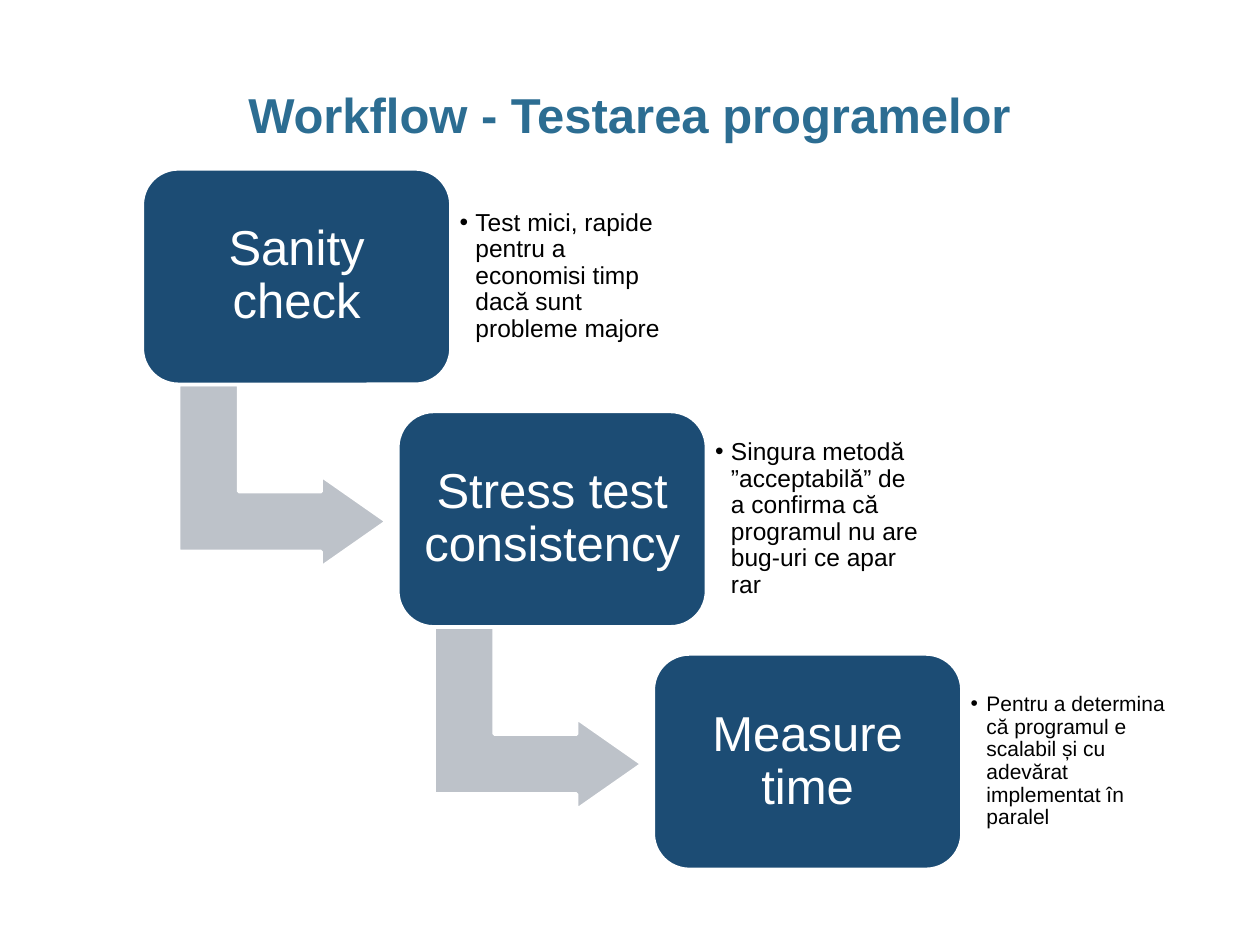
from lxml.etree import SubElement
from pptx import Presentation
from pptx.dml.color import RGBColor
from pptx.enum.shapes import MSO_SHAPE
from pptx.enum.text import MSO_ANCHOR, PP_ALIGN
from pptx.oxml.ns import qn
from pptx.util import Pt

TEAL = RGBColor(0x2C, 0x6D, 0x92)
NAVY = RGBColor(0x1C, 0x4C, 0x74)
GREY = RGBColor(0xBD, 0xC2, 0xC9)
WHITE = RGBColor(0xFF, 0xFF, 0xFF)
BLACK = RGBColor(0x00, 0x00, 0x00)

# Staircase geometry, in points
FIRST_LEFT, FIRST_TOP = 81.3, 96.5
STEP_X, STEP_Y = 146, 138.6
BOX_WIDTH, BOX_HEIGHT = 176.4, 123.1
ARROW_WIDTH, ARROW_HEIGHT = 104.4, 118.8
NOTE_WIDTH, NOTE_HEIGHT = 128.2, 99.4
NOTE_INDENT = 9

# Step name, explanation, explanation size
STEPS = [
    ("Sanity check",
     "Test mici, rapide pentru a economisi timp dacă sunt probleme majore", 14),
    ("Stress test consistency",
     "Singura metodă ”acceptabilă” de a confirma că programul nu are "
     "bug-uri ce apar rar", 14),
    ("Measure time",
     "Pentru a determina că programul e scalabil și cu adevărat "
     "implementat în paralel", 12),
]


def set_margins(frame, horizontal, vertical):
    frame.margin_left = frame.margin_right = Pt(horizontal)
    frame.margin_top = frame.margin_bottom = Pt(vertical)
    frame.word_wrap = True
    frame.vertical_anchor = MSO_ANCHOR.MIDDLE


def add_text(paragraph, text, size, color, spacing, bold=False):
    paragraph.line_spacing = spacing
    run = paragraph.add_run()
    run.text = text
    run.font.name = "Arial"
    run.font.size = Pt(size)
    run.font.bold = bold
    run.font.color.rgb = color


def add_title(slide, text):
    title = slide.shapes.title
    title.left, title.top = Pt(24.5), Pt(49)
    title.width, title.height = Pt(670.3), Pt(36)
    set_margins(title.text_frame, 0, 3.6)
    paragraph = title.text_frame.paragraphs[0]
    paragraph.alignment = PP_ALIGN.CENTER
    add_text(paragraph, text, 28, TEAL, 0.95, bold=True)


def add_block(slide, preset, left, top, width, height, fill, adjustments):
    block = slide.shapes.add_shape(preset, Pt(left), Pt(top), Pt(width), Pt(height))
    block.shadow.inherit = False
    block.fill.solid()
    block.fill.fore_color.rgb = fill
    block.line.color.rgb = WHITE
    block.line.width = Pt(2)
    for index, value in enumerate(adjustments):
        block.adjustments[index] = value
    return block


def add_step_box(slide, left, top, name):
    box = add_block(slide, MSO_SHAPE.ROUNDED_RECTANGLE, left, top,
                    BOX_WIDTH, BOX_HEIGHT, NAVY, [0.167])
    set_margins(box.text_frame, 8.4, 8.4)
    paragraph = box.text_frame.paragraphs[0]
    paragraph.alignment = PP_ALIGN.CENTER
    add_text(paragraph, name, 28, WHITE, 0.9)


def add_arrow(slide, box_left, box_top):
    # The frame is given before the quarter turn
    arrow = add_block(slide, MSO_SHAPE.BENT_UP_ARROW, box_left + 28, box_top + 116,
                      ARROW_WIDTH, ARROW_HEIGHT, GREY, [0.328, 0.25, 0.358])
    arrow.rotation = 90


def add_note(slide, box_left, box_top, text, size):
    note = slide.shapes.add_textbox(Pt(box_left + BOX_WIDTH), Pt(box_top + 11.7),
                                    Pt(NOTE_WIDTH), Pt(NOTE_HEIGHT))
    set_margins(note.text_frame, 5, 5)
    paragraph = note.text_frame.paragraphs[0]
    properties = paragraph._p.get_or_add_pPr()
    properties.set("marL", str(Pt(NOTE_INDENT)))
    properties.set("indent", str(-Pt(NOTE_INDENT)))
    SubElement(properties, qn("a:buFont")).set("typeface", "Arial")
    SubElement(properties, qn("a:buChar")).set("char", "•")
    paragraph.level = 1
    add_text(paragraph, text, size, BLACK, 0.9)


def main():
    presentation = Presentation()
    presentation.slide_width, presentation.slide_height = Pt(720), Pt(540)
    slide = presentation.slides.add_slide(presentation.slide_layouts[5])

    add_title(slide, "Workflow - Testarea programelor")

    # Each step sits one stair lower; an arrow leads on to the next
    for index, (name, explanation, size) in enumerate(STEPS):
        left = FIRST_LEFT + index * STEP_X
        top = FIRST_TOP + index * STEP_Y
        if index < len(STEPS) - 1:
            add_arrow(slide, left, top)
        add_step_box(slide, left, top, name)
        add_note(slide, left, top, explanation, size)

    presentation.save("out.pptx")


if __name__ == "__main__":
    main()
